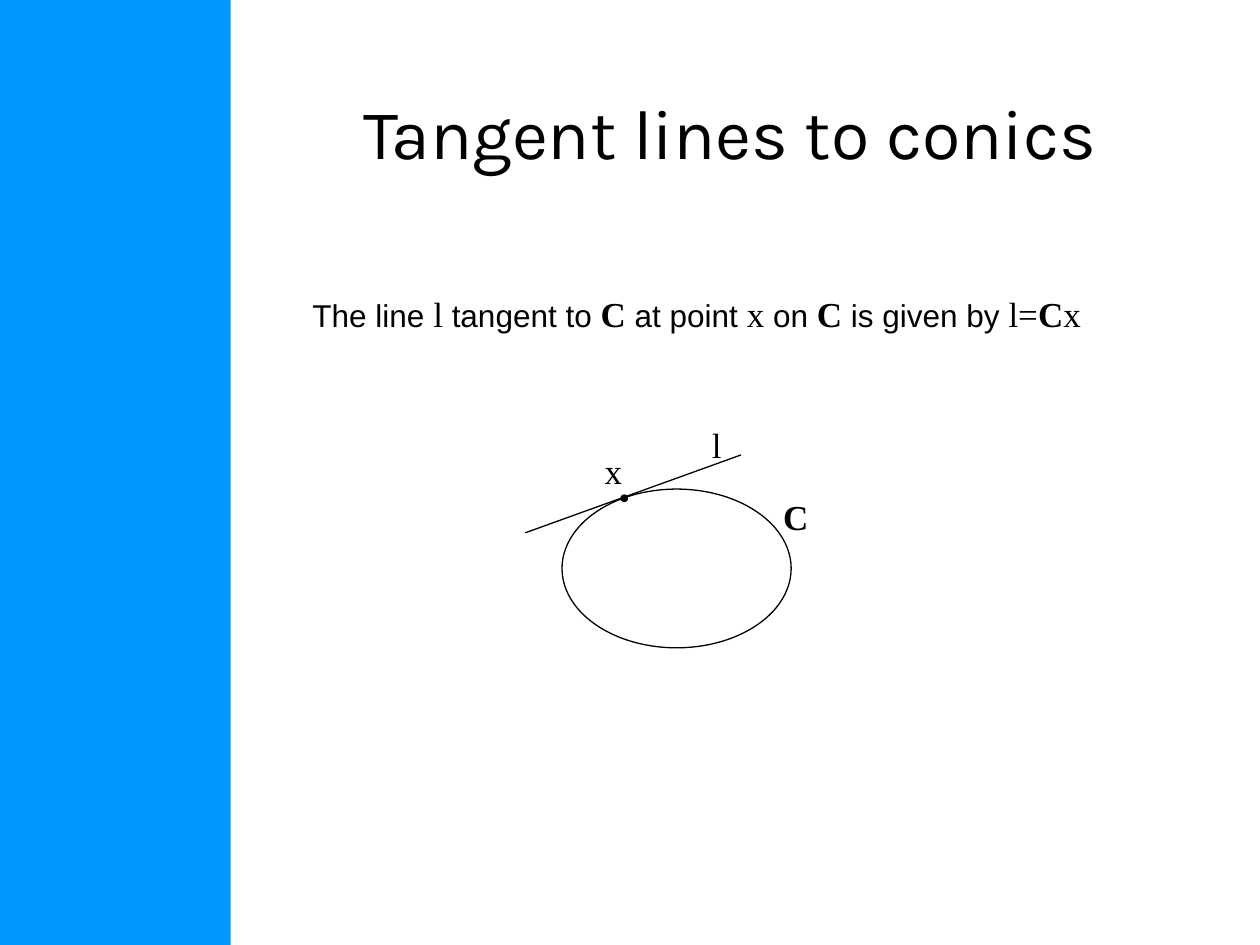
from dataclasses import dataclass

from lxml.etree import SubElement
from pptx import Presentation
from pptx.dml.color import RGBColor
from pptx.enum.shapes import MSO_CONNECTOR as Connector, MSO_SHAPE as Shape
from pptx.enum.text import MSO_ANCHOR as Anchor, MSO_AUTO_SIZE as AutoSize, PP_ALIGN as Align
from pptx.oxml.ns import qn
from pptx.util import Cm, Pt


@dataclass(frozen=True)
class TextStyle:
    font: str
    size: float
    bold: bool = False


@dataclass(frozen=True)
class Theme:
    band: RGBColor = RGBColor(0x00, 0x99, 0xFF)
    ink: RGBColor = RGBColor(0x00, 0x00, 0x00)
    stroke: float = 0.75
    title: TextStyle = TextStyle("Karla", 40)
    prose: TextStyle = TextStyle("Arial", 18)
    vector: TextStyle = TextStyle("Times New Roman", 20)
    matrix: TextStyle = TextStyle("Times New Roman", 20, True)


THEME = Theme()

STATEMENT = [
    ("The line ", THEME.prose),
    ("l", THEME.vector),
    (" tangent to ", THEME.prose),
    ("C", THEME.matrix),
    (" at point ", THEME.prose),
    ("x", THEME.vector),
    (" on ", THEME.prose),
    ("C", THEME.matrix),
    (" is given by ", THEME.prose),
    ("l=", THEME.vector),
    ("C", THEME.matrix),
    ("x", THEME.vector),
]

LABELS = [
    ("l", THEME.vector, 14.1, 8.41, 0.69),
    ("x", THEME.vector, 11.94, 8.94, 0.86),
    ("C", THEME.matrix, 15.54, 9.86, 1.02),
]


def add_text(slide, pieces, left, top, width, height, wrap=True):
    box = slide.shapes.add_textbox(Cm(left), Cm(top), Cm(width), Cm(height))
    frame = box.text_frame
    frame.word_wrap = wrap
    frame.auto_size = AutoSize.NONE
    for words, style in pieces:
        run = frame.paragraphs[0].add_run()
        run.text = words
        run.font.name = style.font
        run.font.size = Pt(style.size)
        run.font.bold = style.bold
        run.font.color.rgb = THEME.ink
    return frame


def add_figure(slide, kind, left, top, width, height, fill=None, outlined=True):
    figure = slide.shapes.add_shape(kind, Cm(left), Cm(top), Cm(width), Cm(height))
    figure.shadow.inherit = False
    if fill is None:
        figure.fill.background()
    else:
        figure.fill.solid()
        figure.fill.fore_color.rgb = fill
    if outlined:
        figure.line.color.rgb = THEME.ink
        figure.line.width = Pt(THEME.stroke)
    else:
        figure.line.fill.background()


def add_line(slide, x1, y1, x2, y2):
    line = slide.shapes.add_connector(Connector.STRAIGHT, Cm(x1), Cm(y1), Cm(x2), Cm(y2))
    line.line.color.rgb = THEME.ink
    line.line.width = Pt(THEME.stroke)
    SubElement(line._element.spPr, qn("a:effectLst"))


def add_title(slide, words):
    frame = add_text(slide, [(words, THEME.title)], 4.65, 1.07, 20.12, 3.17)
    frame.vertical_anchor = Anchor.MIDDLE
    frame.paragraphs[0].alignment = Align.CENTER


def add_tangent_diagram(slide):
    add_figure(slide, Shape.OVAL, 11.33, 9.86, 4.62, 3.2)
    add_line(slide, 10.59, 10.74, 14.94, 9.17)
    add_figure(slide, Shape.OVAL, 12.52, 9.98, 0.13, 0.13, fill=THEME.ink)
    for symbol, style, left, top, width in LABELS:
        add_text(slide, [(symbol, style)], left, top, width, 1.12, wrap=False)


def main():
    deck = Presentation()
    deck.slide_width = Cm(25.4)
    deck.slide_height = Cm(19.05)
    slide = deck.slides.add_slide(deck.slide_layouts[6])
    add_figure(slide, Shape.RECTANGLE, 0, 0, 4.65, 19.05, fill=THEME.band, outlined=False)
    add_title(slide, "Tangent lines to conics")
    add_text(slide, STATEMENT, 6.05, 5.77, 18.03, 1.12)
    add_tangent_diagram(slide)
    deck.save("out.pptx")


if __name__ == "__main__":
    main()
